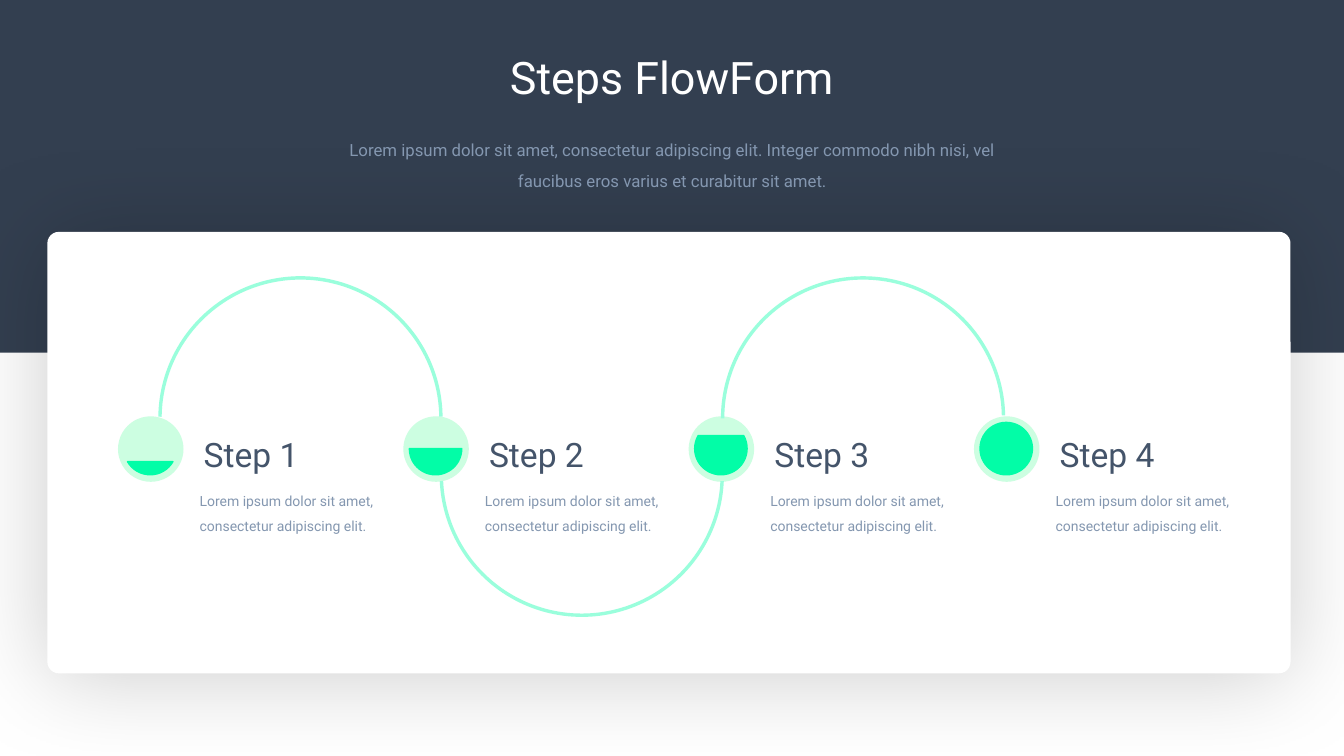
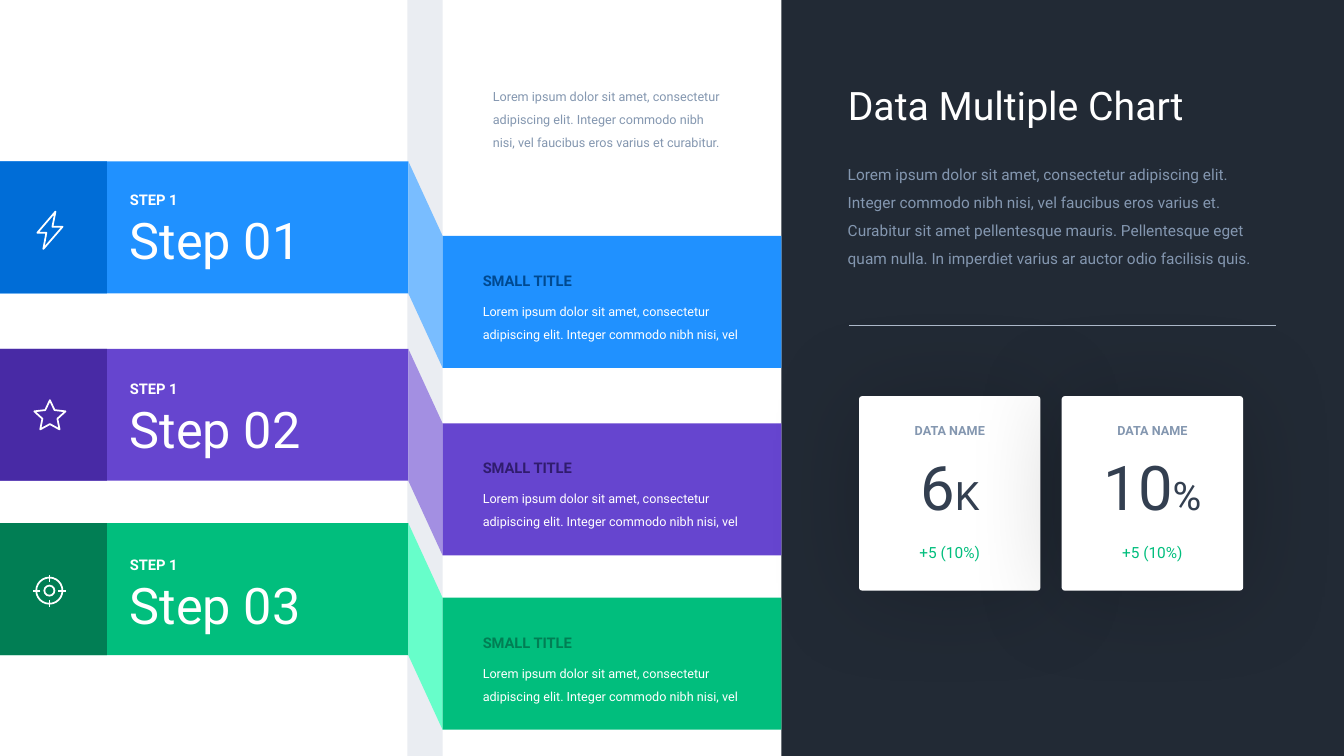
"""Build two slides: a four-step path and a three-step folded band chart with data cards."""
from lxml import etree
from pptx import Presentation
from pptx import util as u
from pptx.dml import color
from pptx.enum import shapes, text
from pptx.oxml import ns

WIDTH, HEIGHT = 13.33, 7.5
FONT = "Roboto"
WHITE, NAVY, INK = "FFFFFF", "333F50", "222A35"
MUTED, SLATE, EMERALD = "8497B0", "44546A", "01BE7D"
MINT, PALE_MINT, ARC_MINT = "02FDA7", "CCFEE1", "9AFEDC"
KIND = shapes.MSO_SHAPE
CENTER, BOTTOM = text.PP_ALIGN.CENTER, text.MSO_ANCHOR.BOTTOM

PATH_INTRO = ("Lorem ipsum dolor sit amet, consectetur adipiscing elit. Integer commodo nibh nisi, "
              "vel faucibus eros varius et curabitur sit amet.")
PATH_BODY = "Lorem ipsum dolor sit amet, consectetur adipiscing elit."
PATH_STEPS = [("Step 1", 30, 150), ("Step 2", 0, 180), ("Step 3", 330, 210), ("Step 4", 270, 270)]
PATH_ARCS = [(2.74, 0, 180.65, 359.29), (3.3, 180, 182.6, 357.46), (2.74, 0, 180, 358.8)]

FOLD_INTRO = ("Lorem ipsum dolor sit amet, consectetur adipiscing elit. Integer commodo nibh nisi, "
              "vel faucibus eros varius et curabitur.")
FOLD_BODY = "Lorem ipsum dolor sit amet, consectetur adipiscing elit. Integer commodo nibh nisi, vel"
DATA_INTRO = ("Lorem ipsum dolor sit amet, consectetur adipiscing elit. Integer commodo nibh nisi, "
              "vel faucibus eros varius et. Curabitur sit amet pellentesque mauris. Pellentesque eget "
              "quam nulla. In imperdiet varius ar auctor odio facilisis quis.")
FOLD_STEPS = [
    {"title": "Step 01", "top": 1.6, "caption": 1.76, "main": "2091FF", "fold": "79BDFF",
     "dark": "006DD7", "small": "004990"},
    {"title": "Step 02", "top": 3.46, "caption": 3.63, "main": "6645CF", "fold": "A38FE2",
     "dark": "482AA5", "small": "301C6E"},
    {"title": "Step 03", "top": 5.19, "caption": 5.38, "main": EMERALD, "fold": "67FECA",
     "dark": "017E54", "small": "017E54"},
]
BOLT = [(0.55, 2.1), (0.37, 2.31), (0.46, 2.31), (0.43, 2.47), (0.62, 2.25), (0.52, 2.25)]
DATA_CARDS = [("6", "K"), ("10", "%")]


def rgb(value):
    return color.RGBColor.from_string(value)


def style(shape, fill=None, line=None, weight=1):
    shape.shadow.inherit = False
    if fill:
        shape.fill.solid()
        shape.fill.fore_color.rgb = rgb(fill)
    else:
        shape.fill.background()
    if line:
        shape.line.color.rgb = rgb(line)
        shape.line.width = u.Pt(weight)
    else:
        shape.line.fill.background()
    return shape


def add_shape(page, kind, at, fill=None, line=None, weight=1, adjust=()):
    shape = page.shapes.add_shape(kind, *map(u.Inches, at))
    for index, value in enumerate(adjust):
        shape.adjustments[index] = value
    return style(shape, fill, line, weight)


def add_outline(page, points, fill=None, line=None, weight=1):
    start, *rest = [(u.Inches(x), u.Inches(y)) for x, y in points]
    builder = page.shapes.build_freeform(*start)
    builder.add_line_segments(rest, close=True)
    return style(builder.convert_to_shape(), fill, line, weight)


def add_line(page, start, end, line, weight):
    rule = page.shapes.add_connector(shapes.MSO_CONNECTOR.STRAIGHT, *map(u.Inches, start + end))
    rule.line.color.rgb = rgb(line)
    rule.line.width = u.Pt(weight)
    etree.SubElement(rule._element.spPr, ns.qn("a:effectLst"))


def add_text(page, at, words, size, ink, spacing=None, align=None, bold=False, inset=None,
             anchor=None, suffix=None):
    box = page.shapes.add_textbox(*map(u.Inches, at))
    frame = box.text_frame
    frame.word_wrap = True
    if inset is not None:
        frame.margin_left = frame.margin_right = u.Inches(inset)
        frame.margin_top = frame.margin_bottom = u.Inches(inset)
    if anchor is not None:
        frame.vertical_anchor = anchor
    para = frame.paragraphs[0]
    para.alignment = align
    para.line_spacing = spacing
    para.font.name = FONT
    para.font.size = u.Pt(size)
    para.font.bold = bold
    para.font.color.rgb = rgb(ink)
    para.add_run().text = words
    if suffix:
        span = para.add_run()
        span.text, span.font.size = suffix, u.Pt(28)


def add_card(page, at, corner):
    card = add_shape(page, KIND.ROUNDED_RECTANGLE, at, WHITE, adjust=[corner])
    effects = card._element.spPr.find(ns.qn("a:effectLst"))
    shadow = etree.SubElement(effects, ns.qn("a:outerShdw"), blurRad=str(u.Pt(71)),
                              dist=str(u.Pt(3)), dir="5400000", algn="t", rotWithShape="0")
    tone = etree.SubElement(shadow, ns.qn("a:srgbClr"), val="000000")
    etree.SubElement(tone, ns.qn("a:alpha"), val="20000")


def add_icon(page, index):
    center_x, center_y = 0.49, 5.86
    if index == 0:
        add_outline(page, BOLT, line=WHITE, weight=1.25)
    elif index == 1:
        add_shape(page, KIND.STAR_5_POINT, (0.34, 3.97, 0.31, 0.29), line=WHITE, weight=1.25,
                  adjust=[0.24])
    else:
        for radius in (0.13, 0.05):
            at = (center_x - radius, center_y - radius, 2 * radius, 2 * radius)
            add_shape(page, KIND.OVAL, at, line=WHITE, weight=1.25)
        for x, y in ((1, 0), (-1, 0), (0, 1), (0, -1)):
            inner, outer = [(center_x + reach * x, center_y + reach * y) for reach in (0.09, 0.16)]
            add_line(page, inner, outer, WHITE, 1.25)


def build_path(page):
    add_shape(page, KIND.RECTANGLE, (0, 0, WIDTH, 3.5), NAVY)
    add_text(page, (0, 0.44, WIDTH, 0.64), "Steps FlowForm", 32, WHITE, align=CENTER)
    add_card(page, (0.47, 2.3, 12.33, 4.38), 0.026)
    top, dot, inset = 4.13, 0.65, 0.06
    for index, (title, start, end) in enumerate(PATH_STEPS):
        left = 1.17 + 2.83 * index
        add_shape(page, KIND.OVAL, (left, top, dot, dot), PALE_MINT)
        add_shape(page, KIND.CHORD, (left + inset, top + inset, 0.52, 0.52), MINT, MINT,
                  adjust=[start * 0.6, end * 0.6])
        add_text(page, (left + 0.78, top + dot - 0.01, 1.92, 2.73), PATH_BODY, 10, MUTED, 1.5,
                 inset=0.03)
        add_text(page, (left + 0.78, top, 1.92, dot), title, 24, SLATE, 0.9, inset=0.07,
                 anchor=BOTTOM)
    for index, (arc_top, turn, start, end) in enumerate(PATH_ARCS):
        arc = add_shape(page, KIND.BLOCK_ARC, (1.57 + 2.79 * index, arc_top, 2.82, 2.82), ARC_MINT,
                        adjust=[start * 0.6, end * 0.6, 0.012])
        arc.rotation = turn
    add_text(page, (3.19, 1.24, 6.96, 0.67), PATH_INTRO, 12, MUTED, 1.5, CENTER)


def build_folds(page):
    fold_left, fold_right, panel_left = 4.05, 4.39, 7.75
    tall, drop = 1.31, 0.74
    strip = add_shape(page, KIND.RECTANGLE, (4.04, 0, 0.35, HEIGHT), "D6DCE5")
    tone = strip._element.spPr.find(".//" + ns.qn("a:srgbClr"))
    etree.SubElement(tone, ns.qn("a:alpha"), val="49000")
    add_shape(page, KIND.RECTANGLE, (panel_left, 0, WIDTH - panel_left, HEIGHT), INK)
    add_text(page, (4.79, 0.76, 2.51, 0.76), FOLD_INTRO, 9, MUTED, 1.5)
    for index, step in enumerate(FOLD_STEPS):
        top, caption = step["top"], step["caption"]
        low = top + drop
        add_shape(page, KIND.RECTANGLE, (0, top, fold_left, tall), step["main"])
        add_outline(page, [(fold_left, top), (fold_right, low), (fold_right, low + tall),
                           (fold_left, top + tall)], step["fold"])
        add_shape(page, KIND.RECTANGLE, (fold_right, low, panel_left - fold_right, tall),
                  step["main"])
        add_shape(page, KIND.RECTANGLE, (0, top, 1.06, tall), step["dark"])
        add_text(page, (1.19, caption + 0.27, 2.56, 0.71), step["title"], 36, WHITE)
        add_text(page, (1.19, caption, 2.56, 0.34), "STEP 1", 10.5, WHITE, 1.5, bold=True)
        add_text(page, (4.69, top + 1.29, 2.74, 0.53), FOLD_BODY, 9, WHITE, 1.5)
        add_text(page, (4.69, top + 0.96, 2.74, 0.34), "SMALL TITLE", 10.5, step["small"], 1.5,
                 bold=True)
        add_icon(page, index)
    add_text(page, (8.31, 0.76, 4.35, 0.57), "Data Multiple Chart", 28, WHITE)
    add_text(page, (8.31, 1.5, 4.46, 1.18), DATA_INTRO, 11, MUTED, 1.5)
    add_line(page, (8.42, 3.23), (12.66, 3.23), "ADB9CA", 0.5)
    lefts = [8.52 + 2.01 * index for index in range(len(DATA_CARDS))]
    for left in lefts:
        add_card(page, (left, 3.93, 1.8, 1.93), 0.018)
    for left, (number, unit) in zip(lefts, DATA_CARDS):
        add_text(page, (left, 4.4, 1.8, 0.84), number, 44, NAVY, align=CENTER, suffix=unit)
        add_text(page, (left, 5.34, 1.8, 0.29), "+5 (10%)", 11, EMERALD, align=CENTER)
        add_text(page, (left, 4.07, 1.8, 0.3), "DATA NAME", 9, MUTED, 1.5, CENTER, True)


def main():
    deck = Presentation()
    deck.slide_width, deck.slide_height = u.Inches(WIDTH), u.Inches(HEIGHT)
    for build in (build_path, build_folds):
        build(deck.slides.add_slide(deck.slide_layouts[6]))
    deck.save("out.pptx")


if __name__ == "__main__":
    main()
